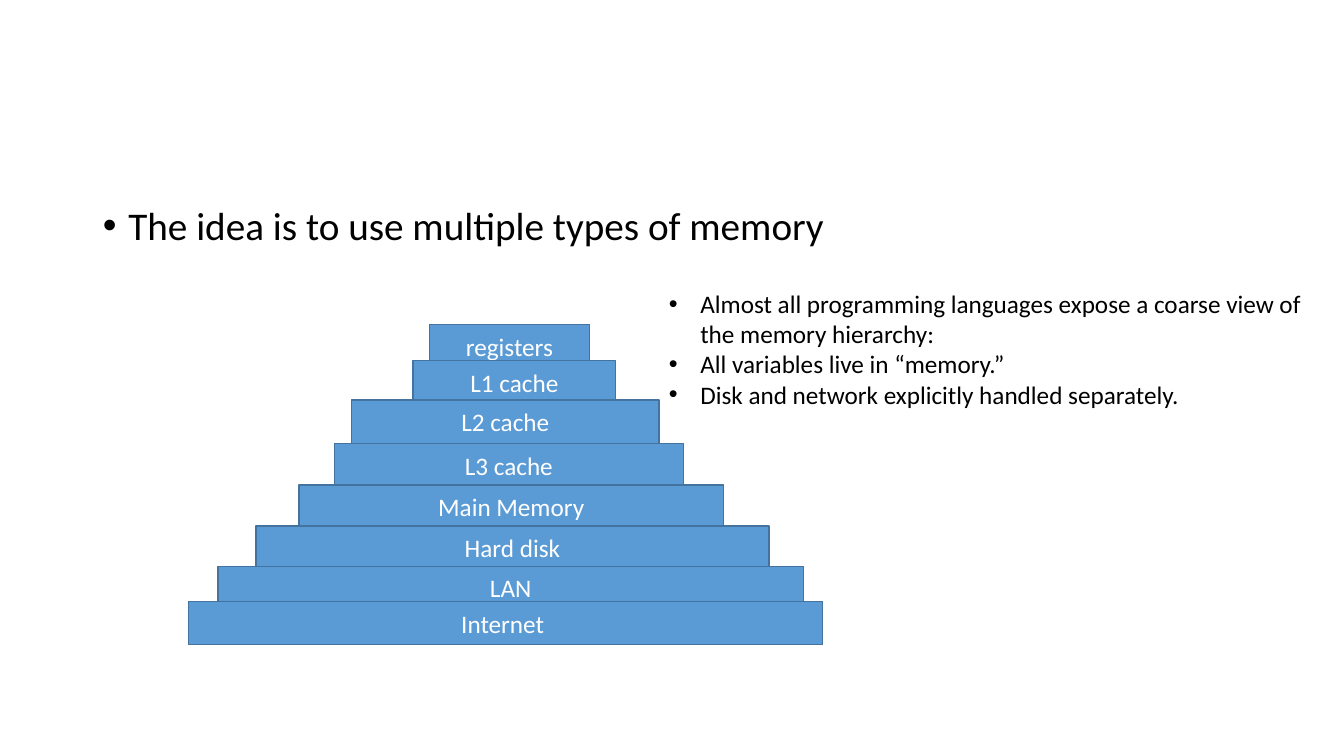
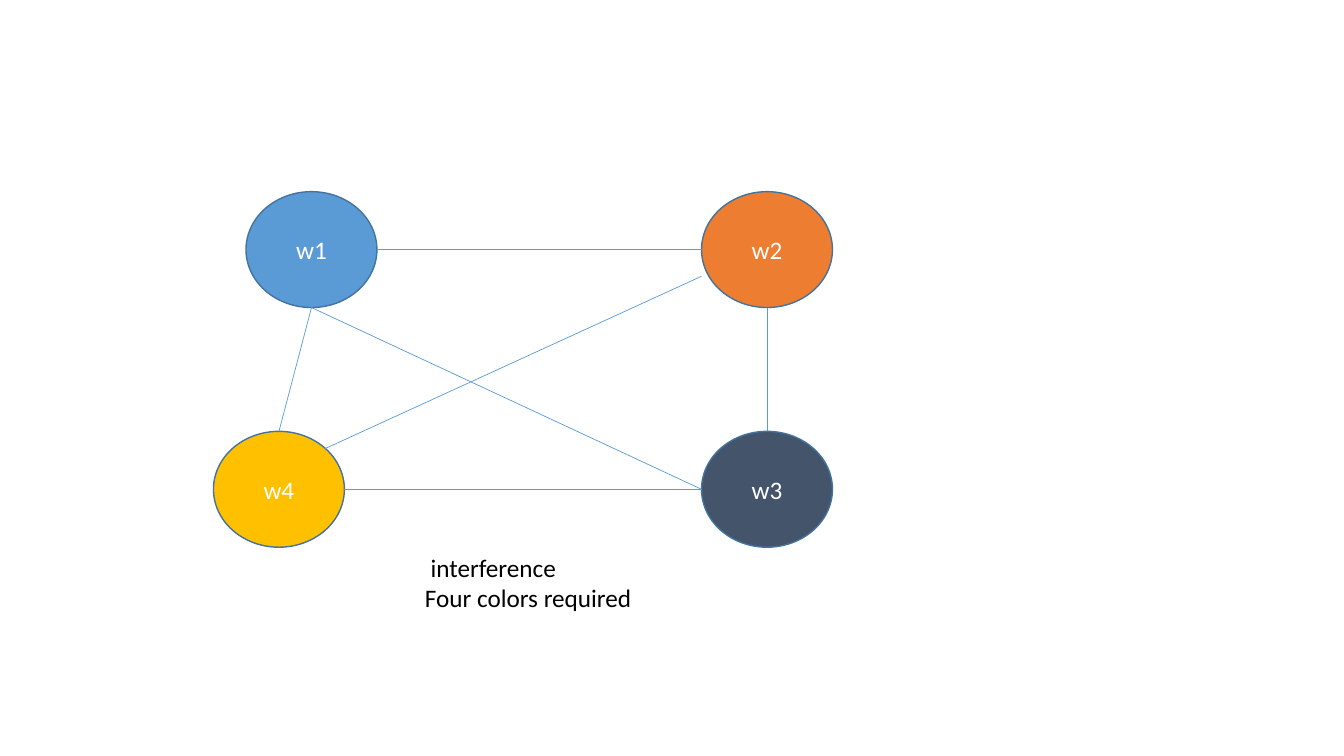
from lxml import etree
from pptx import Presentation
from pptx.dml.color import RGBColor
from pptx.enum import shapes, text
from pptx.oxml import ns
from pptx.util import Cm, Pt

FONT = "Calibri"
COLORS = {
    "blue": "5B9BD5",
    "orange": "ED7D31",
    "gold": "FFC000",
    "slate": "44546A",
    "outline": "43739E",
    "light": "FFFFFF",
    "dark": "000000",
}


def color(name):
    return RGBColor.from_string(COLORS[name])


def add_run(paragraph, words, size=18, ink="dark"):
    run = paragraph.add_run()
    run.text = words
    run.font.name = FONT
    run.font.size = Pt(size)
    run.font.color.rgb = color(ink)


def write_lines(frame, lines, size=18, indent=None):
    """Write one paragraph per line, bulleted when an indent in cm is given."""
    for number, line in enumerate(lines):
        paragraph = frame.paragraphs[0] if number == 0 else frame.add_paragraph()
        add_run(paragraph, line, size)
        if indent:
            properties = paragraph._p.get_or_add_pPr()
            properties.set("marL", str(Cm(indent)))
            properties.set("indent", str(-Cm(indent)))
            etree.SubElement(properties, ns.qn("a:buFont")).set("typeface", "Arial")
            etree.SubElement(properties, ns.qn("a:buChar")).set("char", "•")


def add_text_box(slide, box, lines, indent=None, wrap=True):
    frame = slide.shapes.add_textbox(*map(Cm, box)).text_frame
    frame.word_wrap = wrap
    write_lines(frame, lines, indent=indent)


def add_labelled_shape(slide, kind, box, label, fill):
    shape = slide.shapes.add_shape(kind, *map(Cm, box))
    shape.shadow.inherit = False
    shape.fill.solid()
    shape.fill.fore_color.rgb = color(fill)
    shape.line.color.rgb = color("outline")
    shape.line.width = Pt(1)
    frame = shape.text_frame
    frame.vertical_anchor = text.MSO_ANCHOR.MIDDLE
    paragraph = frame.paragraphs[0]
    paragraph.alignment = text.PP_ALIGN.CENTER
    add_run(paragraph, label, ink="light")


def add_edge(slide, start, end):
    edge = slide.shapes.add_connector(
        shapes.MSO_CONNECTOR.STRAIGHT, *map(Cm, start + end))
    edge.line.color.rgb = color("blue")
    edge.line.width = Pt(0.5)
    etree.SubElement(edge._element.spPr, ns.qn("a:effectLst"))


def add_memory_pyramid(slide, left, top):
    step_height = 1.09
    steps = [  # label, offset from left, offset from top, width
        ("registers", 6.07, 0, 4.04),
        ("L1 cache", 5.66, 0.91, 5.11),
        ("L2 cache", 4.11, 1.9, 7.75),
        ("L3 cache", 3.68, 3, 8.79),
        ("Main Memory", 2.79, 4.04, 10.69),
        ("Hard disk", 1.7, 5.08, 12.93),
        ("LAN", 0.74, 6.09, 14.76),
        ("Internet ", 0, 6.98, 15.98),
    ]
    for label, dx, dy, width in steps:
        add_labelled_shape(slide, shapes.MSO_SHAPE.RECTANGLE,
                           (left + dx, top + dy, width, step_height), label, "blue")


def add_interference_graph(slide, left, top):
    node_width, node_height = 3.3, 2.92
    right_column, lower_row = 12.3, 6.04
    nodes = {
        "w1": (0.82, 0, "blue"),
        "w2": (right_column, 0, "orange"),
        "w3": (right_column, lower_row, "slate"),
        "w4": (0, lower_row, "gold"),
    }
    for label, (dx, dy, fill) in nodes.items():
        add_labelled_shape(slide, shapes.MSO_SHAPE.OVAL,
                           (left + dx, top + dy, node_width, node_height), label, fill)

    def point_on(label, across, down):
        """Turn fractions of a node's box into a position on the slide."""
        dx, dy, _ = nodes[label]
        return (left + dx + across * node_width, top + dy + down * node_height)

    west, east, north, south = (0, 0.5), (1, 0.5), (0.5, 0), (0.5, 1)
    edges = [
        ("w1", east, "w2", west),
        ("w2", south, "w3", north),
        ("w1", south, "w3", west),
        ("w1", south, "w4", north),
        ("w4", east, "w3", west),
        ("w4", (0.85, 0.15), "w2", (0, 0.73)),
    ]
    for source, leaving, target, arriving in edges:
        add_edge(slide, point_on(source, *leaving), point_on(target, *arriving))


def build_hierarchy_slide(deck):
    slide = deck.slides.add_slide(deck.slide_layouts.get_by_name("Title and Content"))
    heading, idea = slide.placeholders
    heading._element.getparent().remove(heading._element)
    idea.left, idea.top, idea.width, idea.height = map(Cm, (2.34, 5.08, 29.21, 12.09))
    write_lines(idea.text_frame, ["The idea is to use multiple types of memory"],
                size=28, indent=0.64)
    opening = idea.text_frame.paragraphs[0]
    opening.line_spacing = 0.9
    opening.space_before = Pt(10)
    add_memory_pyramid(slide, 4.75, 8.18)
    add_text_box(slide, (16.61, 7.14, 16.94, 3.33), [
        "Almost all programming languages expose a coarse view of the memory hierarchy:",
        "All variables live in “memory.”",
        "Disk and network explicitly handled separately.",
    ], indent=0.79)


def build_interference_slide(deck):
    slide = deck.slides.add_slide(deck.slide_layouts.get_by_name("Blank"))
    add_interference_graph(slide, 5.38, 4.83)
    add_text_box(slide, (10.46, 13.79, 5.92, 1.8),
                 [" interference", "Four colors required"], wrap=False)


def main():
    deck = Presentation()
    deck.slide_width, deck.slide_height = Cm(33.87), Cm(19.05)
    build_hierarchy_slide(deck)
    build_interference_slide(deck)
    deck.save("out.pptx")


if __name__ == "__main__":
    main()
